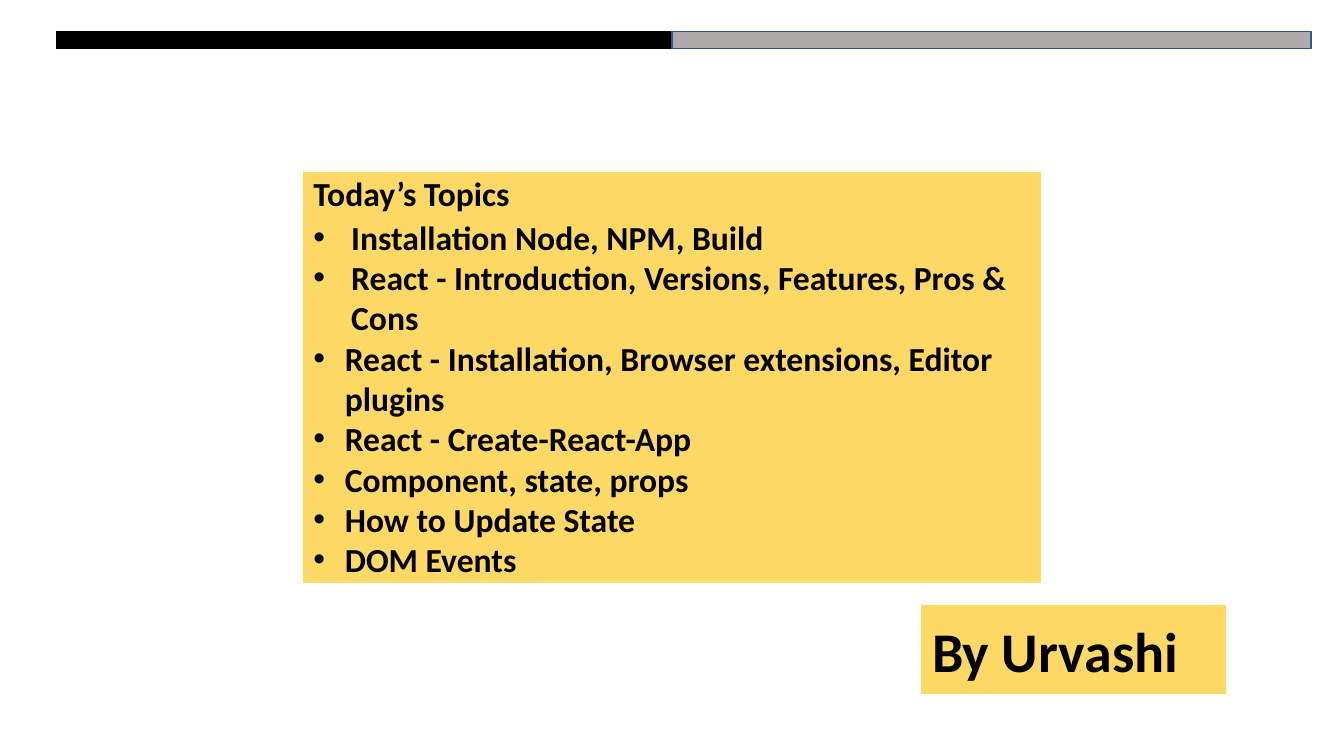
from pptx import Presentation
from pptx.dml.color import RGBColor
from pptx.enum.shapes import MSO_SHAPE as Shape
from pptx.enum.text import MSO_ANCHOR as Anchor, MSO_AUTO_SIZE as AutoSize, PP_ALIGN as Align
from pptx.util import Cm, Pt

BLACK = RGBColor(0x00, 0x00, 0x00)
GREY = RGBColor(0xAF, 0xAB, 0xAB)
BLUE = RGBColor(0x32, 0x54, 0x91)
YELLOW = RGBColor(0xFF, 0xD9, 0x66)

PANEL_LEFT, PANEL_TOP, PANEL_WIDTH = 7.65, 4.34, 18.57
HEADING_HEIGHT, TOPICS_HEIGHT = 1.04, 9.3
BAR_TOP, BAR_HEIGHT = 0.79, 0.43

WIDE_INDENT, NARROW_INDENT = 0.95, 0.79
TOPICS = [
    ("Installation Node, NPM, Build", WIDE_INDENT),
    ("React - Introduction, Versions, Features, Pros & Cons", WIDE_INDENT),
    ("React - Installation, Browser extensions, Editor plugins", NARROW_INDENT),
    ("React - Create-React-App", NARROW_INDENT),
    ("Component, state, props", NARROW_INDENT),
    ("How to Update State", NARROW_INDENT),
    ("DOM Events", NARROW_INDENT),
]


def apply_format(target, values):
    for name, value in values.items():
        setattr(target, name, value)


def place(shape, left, top, width, height):
    apply_format(shape, {"left": Cm(left), "top": Cm(top),
                         "width": Cm(width), "height": Cm(height)})


def paint(shape, fill, line):
    shape.fill.solid()
    shape.fill.fore_color.rgb = fill
    shape.line.color.rgb = line
    shape.line.width = Pt(1)


def add_box(slide, left, top, width, height, fill, line):
    box = slide.shapes.add_shape(
        Shape.RECTANGLE, Cm(left), Cm(top), Cm(width), Cm(height))
    box.shadow.inherit = False
    paint(box, fill, line)
    return box


def set_frame(frame):
    apply_format(frame, {
        "word_wrap": True, "auto_size": AutoSize.NONE,
        "vertical_anchor": Anchor.MIDDLE,
        "margin_left": Cm(0.25), "margin_right": Cm(0.25),
        "margin_top": 0, "margin_bottom": 0})


def write(paragraph, text, size):
    paragraph.text = text
    apply_format(paragraph, {"alignment": Align.LEFT, "line_spacing": 1.0,
                             "space_before": Pt(0), "space_after": Pt(0)})
    font = paragraph.runs[0].font
    apply_format(font, {"name": "Calibri", "size": Pt(size), "bold": True})
    font.color.rgb = BLACK


def fill_heading(heading):
    place(heading, PANEL_LEFT, PANEL_TOP, PANEL_WIDTH, HEADING_HEIGHT)
    paint(heading, YELLOW, YELLOW)
    set_frame(heading.text_frame)
    write(heading.text_frame.paragraphs[0], "Today’s Topics", 24)


def fill_topics(topic_list):
    place(topic_list, PANEL_LEFT, PANEL_TOP + HEADING_HEIGHT,
          PANEL_WIDTH, TOPICS_HEIGHT)
    paint(topic_list, YELLOW, YELLOW)
    frame = topic_list.text_frame
    set_frame(frame)
    for index, (topic, indent) in enumerate(TOPICS):
        paragraph = frame.add_paragraph() if index else frame.paragraphs[0]
        write(paragraph, topic, 24)
        properties = paragraph._p.get_or_add_pPr()
        properties.set("marL", str(Cm(indent)))
        properties.set("indent", str(-Cm(indent)))


def add_author(slide):
    author = add_box(slide, 23.24, 15.27, 7.65, 2.21, YELLOW, YELLOW)
    set_frame(author.text_frame)
    write(author.text_frame.paragraphs[0], "By Urvashi", 40)


def main():
    deck = Presentation()
    apply_format(deck, {"slide_width": Cm(33.87), "slide_height": Cm(19.05)})
    slide = deck.slides.add_slide(deck.slide_layouts[1])
    fill_heading(slide.shapes.title)
    fill_topics(slide.placeholders[1])
    add_box(slide, 1.42, BAR_TOP, 21.16, BAR_HEIGHT, BLACK, BLACK)
    add_box(slide, 16.94, BAR_TOP, 16.1, BAR_HEIGHT, GREY, BLUE)
    add_author(slide)
    deck.save("out.pptx")


if __name__ == "__main__":
    main()
